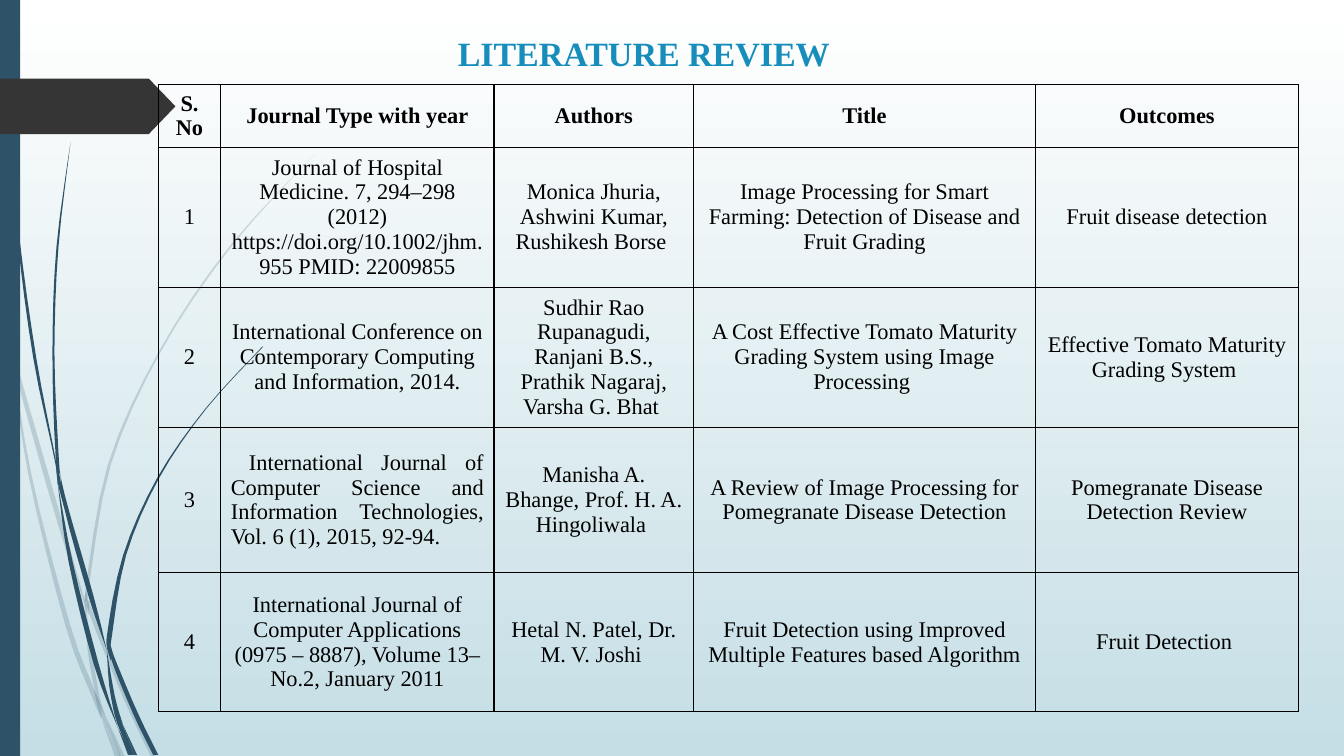
from pptx import Presentation
from pptx.dml.color import RGBColor
from pptx.enum.shapes import MSO_SHAPE
from pptx.enum.text import MSO_ANCHOR, MSO_AUTO_SIZE, PP_ALIGN
from pptx.oxml import parse_xml
from pptx.oxml.ns import nsdecls, qn
from pptx.util import Inches, Pt

RECT = MSO_SHAPE.RECTANGLE
ARROW = MSO_SHAPE.PENTAGON
TOP, MIDDLE = MSO_ANCHOR.TOP, MSO_ANCHOR.MIDDLE
NO_FIT = MSO_AUTO_SIZE.NONE
CENTER, JUSTIFY = PP_ALIGN.CENTER, PP_ALIGN.JUSTIFY
FONT = "Times New Roman"
NAVY, BLACK = "2E5369", "000000"
STEPS = 4
UNIT = 1000

PALE = [
    [(0, 2.82, .01), (.05, 3.12, .02), (.1, 3.5, .01)],
    [(.14, 3.45, 0), (.17, 3.76, .04), (.58, 5.22, .05), (.84, 5.99, .01)],
    [(.88, 5.96, .01), (.89, 6.1, .04), (1.23, 6.94, .04), (1.5, 7.51, .05)],
    [(1.05, 7.11, 0), (1.19, 7.51, .05)],
    [(.11, 3.5, .01), (.28, 4.7, .03), (.65, 6.21, .05), (.92, 6.93, .05),
     (1.01, 7.14, 0)],
    [(.84, 5.99, .01), (.87, 6.46, .04), (.96, 6.92, .03), (1.05, 7.11, 0)],
    [(3.12, 1.53, 0), (2.28, 2.44, .02), (1.58, 3.48, .02), (1.07, 4.61, .03),
     (.85, 5.84, .03), (.87, 5.96, .01)],
    [(1.01, 7.14, 0), (1.14, 7.51, .05)],
    [(.85, 5.86, 0), (.84, 5.99, .04), (.88, 6.1, 0)],
    [(.93, 6.83, 0), (.99, 7.07, .04), (1.19, 7.51, .01)],
]
DARK = [
    [(.03, 0, .01), (.07, 1.1, .01), (.17, 2.33, .02), (.33, 3.55, .03),
     (.55, 4.6, .01), (.57, 4.81, 0)],
    [(.6, 4.72, 0), (.64, 5.05, .04), (.88, 5.92, .05), (1.06, 6.45, 0)],
    [(1.1, 6.41, 0), (1.11, 6.56, .04), (1.32, 7.08, .05), (1.52, 7.49, .05)],
    [(.57, 4.77, 0), (.68, 5.57, .04), (.93, 6.59, .05), (1.17, 7.22, 0)],
    [(.7, 1.41, 0), (.56, 2.45, .02), (.52, 3.49, .02), (.55, 4.49, .03),
     (.6, 4.72, 0)],
    [(1.22, 7.19, 0), (1.33, 7.49, .03)],
    [(.55, 4.49, 0), (.57, 4.77, .03), (.64, 5.05, 0)],
    [(2.6, 3.44, .01), (2.04, 4.05, .01), (1.56, 4.74, .02), (1.22, 5.51, .03),
     (1.06, 6.31, .05), (1.1, 6.41, 0)],
    [(1.17, 7.22, 0), (1.27, 7.49, .04)],
    [(1.06, 6.45, 0), (1.1, 6.91, .04), (1.22, 7.19, 0)],
    [(1.06, 6.31, 0), (1.06, 6.42, .04), (1.1, 6.56, 0)],
    [(1.1, 6.91, 0), (1.16, 7.17, .05), (1.3, 7.49, .03)],
]

COLS = [.62, 2.71, 1.98, 3.39, 2.61]
ROWS = [.62, 1.39, 1.39, 1.44, 1.38]
CELLS = [
    ["S. No", "Journal Type with year", "Authors", "Title", "Outcomes"],
    ["1", "Journal of Hospital Medicine. 7, 294–298 (2012) "
     "https://doi.org/10.1002/jhm.955 PMID: 22009855",
     "Monica Jhuria, Ashwini Kumar, Rushikesh Borse ",
     "Image Processing for Smart Farming: Detection of Disease and Fruit Grading",
     "Fruit disease detection"],
    ["2", "International Conference on Contemporary Computing and Information, 2014.",
     "Sudhir Rao Rupanagudi, Ranjani B.S., Prathik Nagaraj, Varsha G. Bhat ",
     "A Cost Effective Tomato Maturity Grading System using Image Processing ",
     "Effective Tomato Maturity Grading System "],
    ["3", " International Journal of Computer Science and Information Technologies, "
     "Vol. 6 (1), 2015, 92-94. ",
     "Manisha A. Bhange, Prof. H. A. Hingoliwala ",
     "A Review of Image Processing for Pomegranate Disease Detection",
     "Pomegranate Disease Detection Review"],
    ["4", "International Journal of Computer Applications (0975 – 8887), "
     "Volume 13– No.2, January 2011",
     "Hetal N. Patel, Dr. M. V. Joshi ",
     "Fruit Detection using Improved Multiple Features based Algorithm",
     "Fruit Detection "],
]


def rgb(code):
    return RGBColor.from_string(code)


def paint(shape, code, alpha=100):
    shape.shadow.inherit = False
    shape.fill.solid()
    shape.fill.fore_color.rgb = rgb(code)
    shape.line.fill.background()
    if alpha < 100:
        tint = shape._element.spPr.find(".//" + qn("a:srgbClr"))
        tint.append(parse_xml(f'<a:alpha {nsdecls("a")} val="{alpha * 1000}"/>'))


def style(para, size, code, bold, align):
    para.alignment = align
    for run in para.runs:
        run.font.name = FONT
        run.font.size = Pt(size)
        run.font.bold = bold
        run.font.color.rgb = rgb(code)


def blend(a, b, c, d, t):
    return (2 * b + (c - a) * t + (2 * a - 5 * b + 4 * c - d) * t ** 2
            + (3 * b - a - 3 * c + d) * t ** 3) / 2


def smooth(knots):
    ends = [knots[0], *knots, knots[-1]]
    curve = [tuple(blend(*axis, step / STEPS) for axis in zip(*ends[i:i + 4]))
             for i in range(len(knots) - 1) for step in range(STEPS)]
    return curve + [knots[-1]]


def add_strand(slide, knots, alpha):
    curve = smooth(knots)
    edge = [(x, y) for x, y, wide in curve]
    edge += [(x + wide, y) for x, y, wide in reversed(curve)]
    edge = [(x * UNIT, y * UNIT) for x, y in edge]
    pen = slide.shapes.build_freeform(*edge[0], scale=Inches(1) / UNIT)
    pen.add_line_segments(edge[1:], close=True)
    paint(pen.convert_to_shape(), NAVY, alpha)


def add_block(slide, kind, box, code):
    shape = slide.shapes.add_shape(kind, *map(Inches, box))
    paint(shape, code)
    return shape


def add_back(slide):
    fill = slide.background.fill
    fill.gradient()
    fill.gradient_angle = 270
    for stop, code in zip(fill.gradient_stops, ["FFFFFF", "C5DEE5"]):
        stop.color.rgb = rgb(code)


def set_title(slide, text):
    title = slide.shapes.title
    title.left, title.top, title.width, title.height = map(
        Inches, (1.57, .27, 9.63, .69))
    frame = title.text_frame
    frame.text = text
    frame.word_wrap = True
    frame.auto_size = NO_FIT
    frame.vertical_anchor = TOP
    frame.margin_top = Inches(.05)
    style(frame.paragraphs[0], 24.3, "178DBB", True, CENTER)
    tree = slide.shapes._spTree
    tree.remove(title._element)
    tree.append(title._element)


def add_edges(cell):
    props = cell._tc.get_or_add_tcPr()
    for i, side in enumerate(["lnL", "lnR", "lnT", "lnB"]):
        props.insert(i, parse_xml(
            f'<a:{side} {nsdecls("a")} w="12700"><a:solidFill>'
            f'<a:srgbClr val="{BLACK}"/></a:solidFill></a:{side}>'))


def add_grid(slide):
    box = map(Inches, (1.57, .84, sum(COLS), sum(ROWS)))
    table = slide.shapes.add_table(len(ROWS), len(COLS), *box).table
    table.first_row = table.horz_banding = False
    for col, wide in zip(table.columns, COLS):
        col.width = Inches(wide)
    for r, (row, high) in enumerate(zip(table.rows, ROWS)):
        row.height = Inches(high)
        for cell, text in zip(row.cells, CELLS[r]):
            cell.text_frame.text = text
            cell.vertical_anchor = MIDDLE
            cell.fill.background()
            add_edges(cell)
            para = cell.text_frame.paragraphs[0]
            para.line_spacing = 1.0 if r else .97
            style(para, 16, BLACK, r == 0, CENTER)
    table.cell(3, 1).text_frame.paragraphs[0].alignment = JUSTIFY


def main():
    deck = Presentation()
    deck.slide_width, deck.slide_height = Inches(13.33), Inches(7.5)
    slide = deck.slides.add_slide(deck.slide_layouts[5])
    add_back(slide)
    for strands, alpha in [(PALE, 20), (DARK, 100)]:
        for knots in strands:
            add_strand(slide, knots, alpha)
    add_block(slide, RECT, (0, 0, .2, 7.5), NAVY)
    arrow = add_block(slide, ARROW, (0, .78, 1.74, .55), "353535")
    arrow.adjustments[0] = .48
    set_title(slide, "LITERATURE REVIEW")
    add_grid(slide)
    deck.save("out.pptx")


if __name__ == "__main__":
    main()
